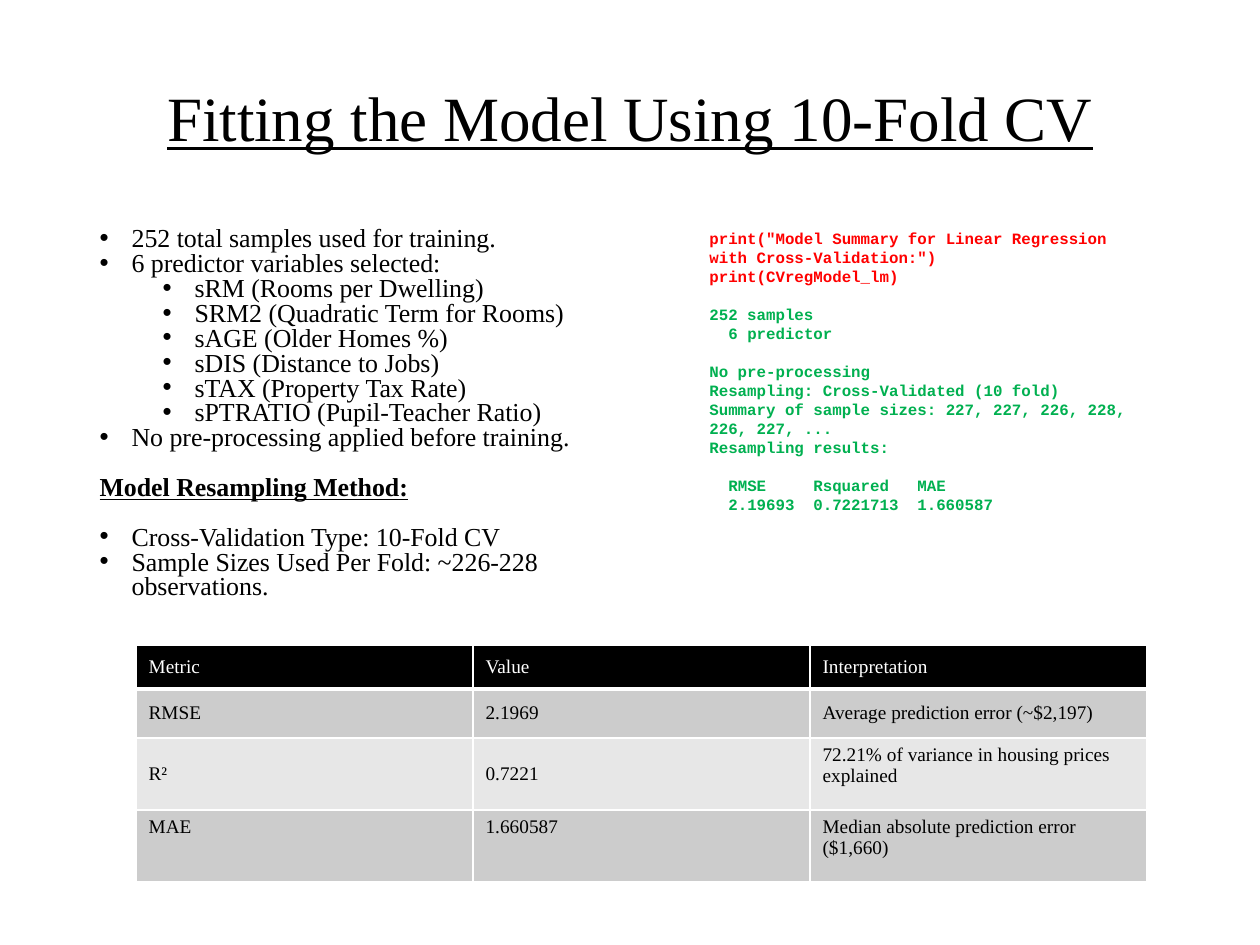
from lxml import etree
from pptx import Presentation
from pptx.dml.color import RGBColor
from pptx.enum.text import MSO_ANCHOR, MSO_AUTO_SIZE, PP_ALIGN
from pptx.oxml.ns import qn
from pptx.util import Emu, Pt

MIDDLE, TOP = MSO_ANCHOR.MIDDLE, MSO_ANCHOR.TOP
CENTER, LEFT = PP_ALIGN.CENTER, PP_ALIGN.LEFT
NO_FIT = MSO_AUTO_SIZE.NONE
SERIF, MONO = "Times New Roman", "Courier New"
COLORS = {"black": "000000", "white": "FFFFFF", "red": "FF0000",
          "green": "00B050", "dark": "CCCCCC", "light": "E7E7E7"}

TITLE = "Fitting the Model Using 10-Fold CV"
# Kind of line, space before in points, text
NOTES = [
    ("item", 0, "252 total samples used for training."),
    ("item", 0, "6 predictor variables selected:"),
    ("sub", 0, "sRM (Rooms per Dwelling)"),
    ("sub", 0, "SRM2 (Quadratic Term for Rooms)"),
    ("sub", 0, "sAGE (Older Homes %)"),
    ("sub", 0, "sDIS (Distance to Jobs)"),
    ("sub", 0, "sTAX (Property Tax Rate)"),
    ("sub", 0, "sPTRATIO (Pupil-Teacher Ratio)"),
    ("item", 0, "No pre-processing applied before training."),
    ("head", 14.2, "Model Resampling Method:"),
    ("item", 14.2, "Cross-Validation Type: 10-Fold CV"),
    ("item", 0, "Sample Sizes Used Per Fold: ~226-228 observations."),
]
# Blocks of console text, each with its colour and lines
CODE = [
    ("red", ['print("Model Summary for Linear Regression with Cross-Validation:")',
             "print(CVregModel_lm)"]),
    ("green", ["252 samples", "\t6 predictor"]),
    ("green", ["No pre-processing",
               "Resampling: Cross-Validated (10 fold)",
               "Summary of sample sizes: 227, 227, 226, 228, 226, 227, ...",
               "Resampling results:"]),
    ("green", ["\tRMSE\tRsquared\tMAE", "\t2.19693\t0.7221713\t1.660587"]),
]
METRICS = [
    ("Metric", "Value", "Interpretation"),
    ("RMSE", "2.1969", "Average prediction error (~$2,197)"),
    ("R²", "0.7221", "72.21% of variance in housing prices explained"),
    ("MAE", "1.660587", "Median absolute prediction error ($1,660)"),
]


def px(n):
    return Emu(round(n * 914400 / 126))


def place(shape, box):
    shape.left, shape.top, shape.width, shape.height = map(px, box)


def style(para, font, size, color, bold=False, line=False):
    for run in para.runs:
        face = run.font
        face.name, face.size = font, Pt(size)
        face.bold, face.underline = bold, line
        face.color.rgb = RGBColor.from_string(COLORS[color])


def lines(frame, count):
    """Return the given number of paragraphs in a fresh frame."""
    return [frame.paragraphs[0]] + [frame.add_paragraph() for _ in range(count - 1)]


def bullet(para, left, hang):
    """Set the indent, with a round bullet when the line hangs."""
    props = para._p.get_or_add_pPr()
    props.set("marL", str(px(left)))
    props.set("indent", str(px(-hang)))
    if hang:
        etree.SubElement(props, qn("a:buFont"), typeface="Arial")
        etree.SubElement(props, qn("a:buChar"), char="•")
    else:
        etree.SubElement(props, qn("a:buNone"))


def tabs(para, stops):
    group = etree.SubElement(para._p.get_or_add_pPr(), qn("a:tabLst"))
    for stop in stops:
        etree.SubElement(group, qn("a:tab"), pos=str(px(stop)), algn="l")


def border(cell, bottom):
    """Draw white cell edges, the lower one in the given points."""
    props = cell._tc.get_or_add_tcPr()
    for spot, (side, width) in enumerate(
            [("lnL", 1), ("lnR", 1), ("lnT", 1), ("lnB", bottom)]):
        edge = etree.Element(qn("a:" + side), w=str(Pt(width)))
        fill = etree.SubElement(edge, qn("a:solidFill"))
        etree.SubElement(fill, qn("a:srgbClr"), val=COLORS["white"])
        props.insert(spot, edge)


def add_title(shape, box):
    place(shape, box)
    frame = shape.text_frame
    frame.text = TITLE
    frame.auto_size, frame.vertical_anchor = NO_FIT, MIDDLE
    para = frame.paragraphs[0]
    para.alignment, para.line_spacing = CENTER, 0.9
    style(para, SERIF, 36, "black", line=True)


def add_notes(shape, box):
    place(shape, box)
    frame = shape.text_frame
    frame.auto_size, frame.vertical_anchor = NO_FIT, TOP
    indents = {"item": (32, 32), "sub": (95, 32), "head": (0, 0)}
    for para, (kind, gap, text) in zip(lines(frame, len(NOTES)), NOTES):
        para.text = text
        para.level = 1 if kind == "sub" else 0
        para.alignment, para.line_spacing = LEFT, Pt(14.2)
        para.space_before, para.space_after = Pt(gap), Pt(0)
        bullet(para, *indents[kind])
        head = kind == "head"
        style(para, SERIF, 14.8, "black", head, head)


def add_code(slide, box):
    frame = slide.shapes.add_textbox(*map(px, box)).text_frame
    frame.word_wrap = True
    rows = [(color, text, spot == 0 and block > 0)
            for block, (color, texts) in enumerate(CODE)
            for spot, text in enumerate(texts)]
    for para, (color, text, gap) in zip(lines(frame, len(rows)), rows):
        para.text = text
        para.line_spacing = Pt(10.86)
        para.space_before = Pt(10.86 if gap else 0)
        if "\t" in text:
            tabs(para, [19, 104, 208])
        style(para, MONO, 9, color, bold=True)


def add_metrics(slide, box):
    heights = [44, 49, 72, 72]
    table = slide.shapes.add_table(
        len(METRICS), len(METRICS[0]), *map(px, box)).table
    for col in table.columns:
        col.width = px(box[2] / len(METRICS[0]))
    for r, (row, texts) in enumerate(zip(table.rows, METRICS)):
        row.height = px(heights[r])
        shade = "black" if r == 0 else ("dark" if r % 2 else "light")
        for c, (cell, text) in enumerate(zip(row.cells, texts)):
            cell.text = text
            cell.vertical_anchor = MIDDLE if r < 2 or (r == 2 and c < 2) else TOP
            cell.fill.solid()
            cell.fill.fore_color.rgb = RGBColor.from_string(COLORS[shade])
            border(cell, 1 if r else 3)
            style(cell.text_frame.paragraphs[0], SERIF, 11,
                  "black" if r else "white")


def main():
    deck = Presentation()
    deck.slide_width, deck.slide_height = px(1260), px(945)
    slide = deck.slides.add_slide(deck.slide_layouts[1])
    title, body = slide.placeholders
    add_title(title, (87, 50, 1086, 142))
    add_notes(body, (87, 222, 590, 394))
    add_metrics(slide, (136, 645, 1011, 237))
    add_code(slide, (697, 222, 466, 299))
    deck.save("out.pptx")


if __name__ == "__main__":
    main()
